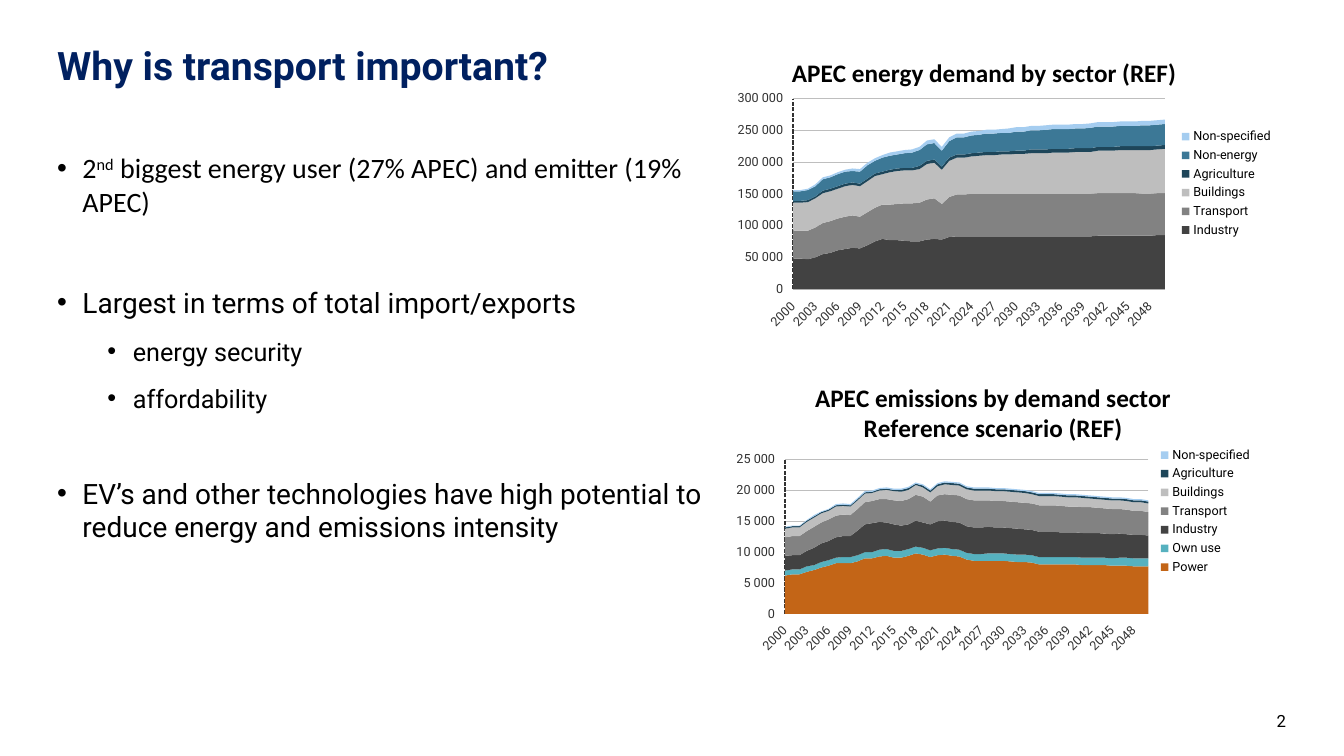
from dataclasses import dataclass

import pptx
import pptx.chart.data
import pptx.dml.color
import pptx.enum.chart
import pptx.enum.dml
import pptx.enum.text
import pptx.oxml
import pptx.oxml.ns
import pptx.util
from lxml import etree
from pptx.util import Cm, Pt

qn = pptx.oxml.ns.qn
Align = pptx.enum.text.PP_ALIGN
Anchor = pptx.enum.text.MSO_ANCHOR


@dataclass(frozen=True)
class Theme:
    heading_font: str = "Roboto"
    body_font: str = "Calibri"
    navy: str = "002060"
    black: str = "000000"
    axis_text: str = "323232"
    grid: str = "BEBEBE"
    title_size: int = 28
    body_size: int = 20
    sub_size: int = 18
    chart_title_size: int = 18
    number_size: int = 12
    chart_size: int = 10
    label_size: int = 9


THEME = Theme()
SECTOR_COLORS = {
    "Power": "C36517", "Own use": "56B1BF", "Industry": "424242", "Transport": "828282",
    "Buildings": "BEBEBE", "Agriculture": "1E465A", "Non-energy": "3C7896",
    "Non-specified": "A5CDF0",
}
YEARS = [str(year) for year in range(2000, 2051)]
BASE_YEAR = "2018"

# Thousands
DEMAND = {
    "Industry": [48, 48, 47, 50, 55, 57, 61, 63, 65, 64, 69, 75, 79, 77, 77, 76, 75, 75, 78, 79, 78, 82]
    + [83] * 19 + [84] * 8 + [85] * 2,
    "Transport": [44, 44, 45, 47, 49, 50, 50, 51, 51, 50, 52, 53, 54, 56, 57, 59, 60, 61, 63, 64, 56, 63,
                  66, 66] + [67] * 23 + [66] * 4,
    "Buildings": [44, 44, 45, 46, 47, 47, 47, 48, 48, 48, 49, 50, 48, 51, 52, 52, 52, 53, 56, 56, 54, 57,
                  58, 58, 59, 60, 61, 61, 62, 62, 63, 63, 64, 64, 64, 65, 65, 65, 66, 66, 66, 67, 67, 67,
                  68, 68, 68, 69, 69, 69, 70],
    "Agriculture": [3] * 4 + [4] * 13 + [5] * 15 + [6] * 19,
    "Non-energy": [15, 15, 16, 16, 18, 18, 19, 19, 18, 19, 21, 20, 22, 22, 22, 23, 24, 25, 26, 26, 25, 26,
                   27, 27, 28, 28] + [29] * 4 + [30] * 4 + [31] * 6 + [32] * 7 + [33] * 4,
    "Non-specified": [2] * 3 + [3] * 5 + [4] * 5 + [5] * 5 + [6] * 11 + [7] * 22,
}
# Hundreds
EMISSIONS = {
    "Power": [62, 64, 64, 68, 71, 75, 78, 82, 82, 82, 85, 90, 90, 93, 94, 91, 91, 94, 98, 96, 92, 95, 96, 94,
              93, 88, 86, 86, 86, 86, 86, 85, 84, 84, 83] + [80] * 6 + [79] * 4 + [78] * 3 + [77] * 3,
    "Own use": [8, 8, 8, 9, 8, 9, 9, 9] + [10] * 5 + [11] * 15 + [12] * 18 + [13] * 5,
    "Industry": [24, 23, 23, 25, 28, 30, 31, 33, 34, 34, 40, 45, 47, 45, 43, 43, 41, 40, 42, 41, 42, 44, 44,
                 44, 44, 43, 43, 43, 43] + [42] * 4 + [41] * 5 + [40] * 6 + [39] * 3 + [38] * 3 + [37],
    "Transport": [30, 31, 31, 32, 34, 34, 35, 35, 35, 34, 35, 36, 36, 37, 38, 39, 40, 41, 42, 42, 37, 42, 43]
    + [44] * 5 + [43] * 11 + [42] * 4 + [41] * 3 + [40] * 2 + [39] * 2 + [38],
    "Buildings": [14, 14, 14, 15, 15, 15, 14, 15, 14, 14, 14, 14, 13, 14, 15, 15, 15, 15, 16, 15, 15, 15]
    + [16] * 12 + [15] * 8 + [14] * 9,
    "Agriculture": [2] * 16 + [3, 3, 2] + [3] * 32,
    "Non-specified": [1] * 4 + [2, 1, 1] + [2] * 44,
}


def rgb(color):
    return pptx.dml.color.RGBColor.from_string(color)


def set_font(font, size, name=THEME.heading_font, color=THEME.black, bold=False):
    font.size, font.name, font.bold = Pt(size), name, bold
    font.color.rgb = rgb(color)


def add_text_box(slide, left, top, width, height, anchor=Anchor.TOP):
    frame = slide.shapes.add_textbox(Cm(left), Cm(top), Cm(width), Cm(height)).text_frame
    frame.word_wrap = True
    frame.vertical_anchor = anchor
    return frame


def add_bullet(paragraph, level, before):
    paragraph.level = level
    properties = paragraph._p.get_or_add_pPr()
    properties.set("marL", str(Cm(0.64 + 1.27 * level)))
    properties.set("indent", str(-Cm(0.64)))
    etree.SubElement(properties, qn("a:buFont")).set("typeface", "Arial")
    etree.SubElement(properties, qn("a:buChar")).set("char", "•")
    paragraph.space_before, paragraph.space_after = Pt(before), Pt(6)


def add_reasons(slide):
    frame = add_text_box(slide, 1.19, 3.68, 16.94, 13.54)
    ranking = frame.paragraphs[0]
    add_bullet(ranking, 0, 0)
    set_font(ranking.font, THEME.body_size, THEME.body_font)
    for text in ("2", "nd", " biggest energy user (27% APEC) and emitter (19% APEC)"):
        run = ranking.add_run()
        run.text = text
        if text == "nd":
            run._r.get_or_add_rPr().set("baseline", "30000")
    for level, before, text in (
        (0, 42, "Largest in terms of total import/exports"),
        (1, 6, "energy security"),
        (1, 6, "affordability"),
        (0, 39, "EV’s and other technologies have high potential to reduce energy and emissions intensity"),
    ):
        reason = frame.add_paragraph()
        reason.text = text
        add_bullet(reason, level, before)
        set_font(reason.font, THEME.sub_size if level else THEME.body_size)


def set_layout(part, index, **fractions):
    """Place a chart part by fractions of the chart; index is where its layout element belongs."""
    for old in part.findall(qn("c:layout")):
        part.remove(old)
    layout = etree.Element(qn("c:layout"))
    manual = etree.SubElement(layout, qn("c:manualLayout"))
    if "w" in fractions:
        etree.SubElement(manual, qn("c:layoutTarget")).set("val", "inner")
    for mode in ("xMode", "yMode"):
        etree.SubElement(manual, qn(f"c:{mode}")).set("val", "edge")
    for key, value in fractions.items():
        etree.SubElement(manual, qn(f"c:{key}")).set("val", str(value))
    part.insert(index, layout)


def style_axes(chart):
    """The value axis stands dashed at the base year, its labels staying at the left."""
    years, values = chart.category_axis, chart.value_axis
    for axis, color, width in ((years, THEME.grid, 0.75), (values, THEME.axis_text, 1)):
        axis.major_tick_mark = axis.minor_tick_mark = pptx.enum.chart.XL_TICK_MARK.NONE
        axis.tick_label_position = pptx.enum.chart.XL_TICK_LABEL_POSITION.LOW
        set_font(axis.tick_labels.font, THEME.label_size, color=THEME.axis_text)
        axis.format.line.color.rgb = rgb(color)
        axis.format.line.width = Pt(width)
    values.format.line.dash_style = pptx.enum.dml.MSO_LINE.SQUARE_DOT
    values.tick_labels.number_format = r"#\ ###\ ###\ ##0"
    values.tick_labels.number_format_is_linked = False
    values.has_major_gridlines = True
    values.major_gridlines.format.line.color.rgb = rgb(THEME.grid)
    values.major_gridlines.format.line.width = Pt(0.75)
    years.has_major_gridlines = False
    years.crosses_at = YEARS.index(BASE_YEAR) + 1
    values._element.find(qn("c:crossBetween")).set("val", "midCat")
    years._element.find(qn("c:txPr")).find(qn("a:bodyPr")).set("rot", "-2700000")
    skip = etree.Element(qn("c:tickLblSkip"))
    skip.set("val", "3")
    years._element.find(qn("c:lblOffset")).addnext(skip)


def add_sector_chart(slide, top, width, title_lines, sectors, unit, title_at, plot_at):
    data = pptx.chart.data.CategoryChartData()
    data.categories = YEARS
    for sector, amounts in sectors.items():
        data.add_series(sector, [amount * unit for amount in amounts])
    chart = slide.shapes.add_chart(pptx.enum.chart.XL_CHART_TYPE.AREA_STACKED, Cm(18.14), Cm(top),
                                   Cm(width), Cm(7.62), data).chart
    set_font(chart.font, THEME.chart_size, THEME.body_font)
    plot = chart.plots[0]
    plot.vary_by_categories = False
    for series in plot.series:
        series.format.fill.solid()
        series.format.fill.fore_color.rgb = rgb(SECTOR_COLORS[series.name])
        series.format.line.fill.background()
    style_axes(chart)

    frame = chart.chart_title.text_frame
    frame.text = "\n".join(title_lines)
    for line in frame.paragraphs:
        set_font(line.font, THEME.chart_title_size, THEME.body_font, bold=True)
    chart.chart_title.include_in_layout = False
    set_layout(chart.chart_title._element, 1, **title_at)
    set_layout(chart._chartSpace.chart.plotArea, 0, **plot_at)

    chart.has_legend = True
    chart.legend.position = pptx.enum.chart.XL_LEGEND_POSITION.RIGHT
    chart.legend.include_in_layout = False
    set_font(chart.legend.font, THEME.label_size)


def main():
    deck = pptx.Presentation()
    deck.slide_width, deck.slide_height = Cm(33.87), Cm(19.05)
    slide = deck.slides.add_slide(deck.slide_layouts[6])

    title = add_text_box(slide, 1.19, 0.86, 31.47, 1.5, Anchor.BOTTOM).paragraphs[0]
    title.text = "Why is transport important?"
    title.line_spacing = 0.9
    set_font(title.font, THEME.title_size, color=THEME.navy, bold=True)
    add_reasons(slide)
    number = add_text_box(slide, 25.04, 17.65, 7.62, 1.02, Anchor.MIDDLE).paragraphs[0]
    number.text = "2"
    number.alignment = Align.RIGHT
    set_font(number.font, THEME.number_size)

    add_sector_chart(slide, 0.81, 14.2, ["APEC energy demand by sector (REF)"], DEMAND, 1000,
                     dict(x=0.12, y=0.06), dict(x=0.13, y=0.22, w=0.66, h=0.63))
    add_sector_chart(slide, 9.07, 13.67, ["APEC emissions by demand sector", "Reference scenario (REF)"],
                     EMISSIONS, 100, dict(x=0.17, y=0.06), dict(x=0.12, y=0.33, w=0.67, h=0.51))
    deck.save("out.pptx")


if __name__ == "__main__":
    main()
